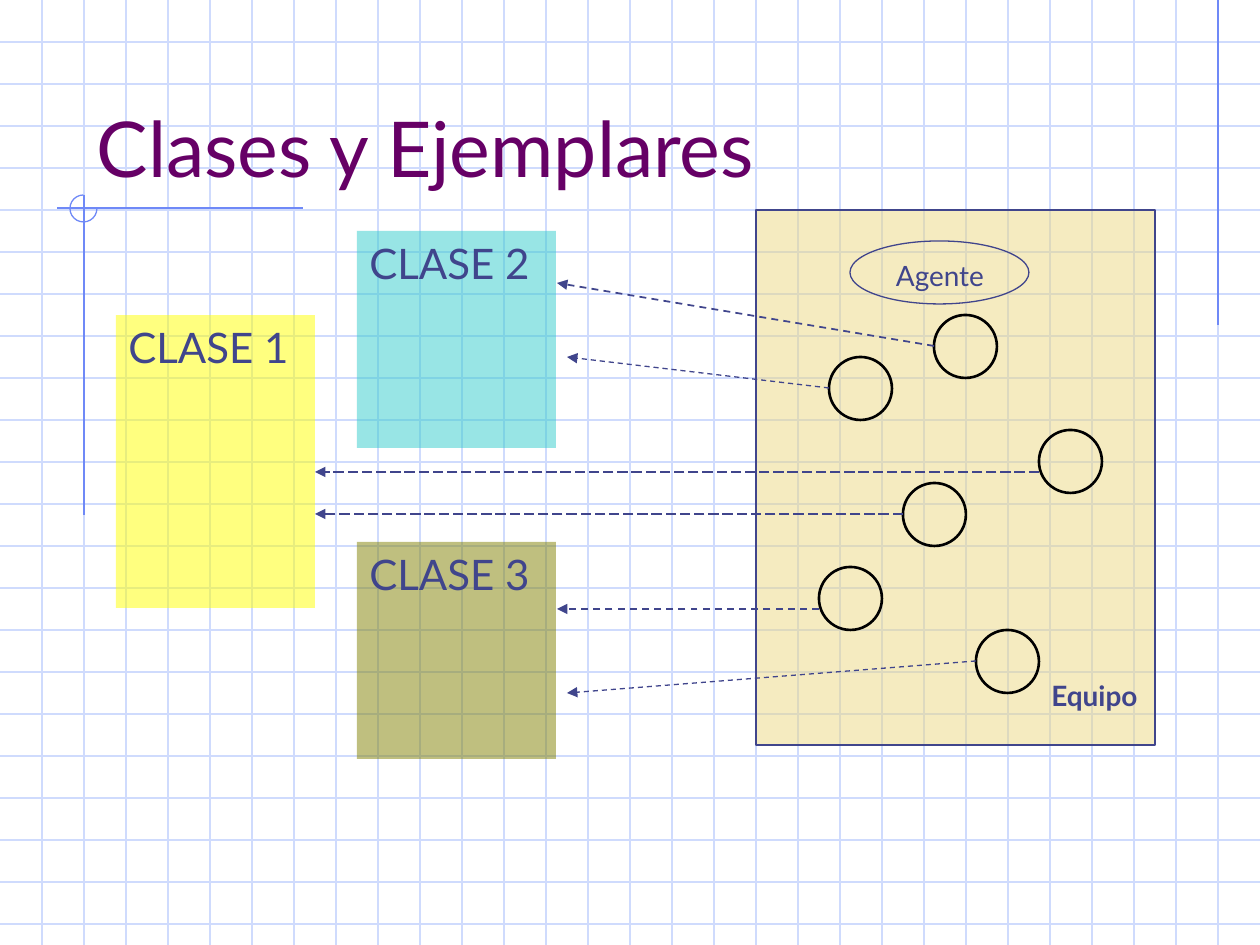
from lxml.etree import SubElement
from pptx import Presentation
from pptx.dml.color import RGBColor
from pptx.enum.dml import MSO_LINE
from pptx.enum.shapes import MSO_CONNECTOR, MSO_SHAPE
from pptx.enum.text import MSO_ANCHOR, MSO_AUTO_SIZE, PP_ALIGN
from pptx.oxml.ns import qn
from pptx.util import Emu, Pt

SCALE = 914400 / 126
WIDTH, HEIGHT, GRID_STEP = 1260, 945, 42
CIRCLE_SIZE = 63
FONT = "Lato"
COLORS = {
    "grid": "CFDBFD",
    "accent": "6F89F7",
    "title": "660066",
    "ink": "40458C",
    "circle": "000000",
    "team": "ECD882",
    "class 1": "FFFF00",
    "class 2": "33CCCC",
    "class 3": "808000",
}
CLASSES = [
    ("CLASE 1", "class 1", (116, 315, 199, 293)),
    ("CLASE 2", "class 2", (357, 231, 199, 217)),
    ("CLASE 3", "class 3", (357, 542, 199, 217)),
]
CIRCLES = [(829, 357), (934, 315), (1039, 430), (903, 483), (819, 567), (976, 630)]
ARROWS = [
    ((934, 346), (557, 283), 1, MSO_LINE.DASH),
    ((829, 388), (567, 357), 0.75, MSO_LINE.DASH),
    ((1039, 472), (315, 472), 0.75, MSO_LINE.LONG_DASH),
    ((903, 514), (315, 514), 0.75, MSO_LINE.LONG_DASH),
    ((819, 609), (557, 609), 1, MSO_LINE.DASH),
    ((976, 661), (567, 693), 0.75, MSO_LINE.DASH),
]


def px(*lengths):
    """Turn pixel lengths into EMU."""
    return [Emu(round(length * SCALE)) for length in lengths]


def color(name):
    """Look up a named colour."""
    return RGBColor.from_string(COLORS[name])


def write_text(shape, text, size, ink="ink", bold=False, align=PP_ALIGN.LEFT,
               anchor=MSO_ANCHOR.TOP):
    """Fill a shape with one formatted paragraph."""
    frame = shape.text_frame
    frame.word_wrap = True
    frame.auto_size = MSO_AUTO_SIZE.NONE
    frame.vertical_anchor = anchor
    para = frame.paragraphs[0]
    para.alignment = align
    span = para.add_run()
    span.text = text
    span.font.name = FONT
    span.font.size = Pt(size)
    span.font.bold = bold
    span.font.color.rgb = color(ink)


def add_figure(page, kind, bounds, fill=None, line=None, weight=0.75):
    """Add a preset shape with an optional half-transparent fill and outline."""
    shape = page.shapes.add_shape(kind, *px(*bounds))
    shape.shadow.inherit = False
    if fill:
        shape.fill.solid()
        shape.fill.fore_color.rgb = color(fill)
        tint = shape._element.spPr.find(qn("a:solidFill"))[0]
        SubElement(tint, qn("a:alpha"), val="50000")
    else:
        shape.fill.background()
    if line:
        shape.line.color.rgb = color(line)
        shape.line.width = Pt(weight)
    else:
        shape.line.fill.background()
    return shape


def add_line(page, start, end, ink, weight=0.75):
    """Add a straight connector without a shadow."""
    line = page.shapes.add_connector(MSO_CONNECTOR.STRAIGHT, *px(*start, *end))
    line.line.color.rgb = color(ink)
    line.line.width = Pt(weight)
    SubElement(line._element.spPr, qn("a:effectLst"))
    return line


def add_arrow(page, start, end, weight, dash):
    """Add a dashed connector with a triangular head at its end."""
    arrow = add_line(page, start, end, "ink", weight)
    arrow.line.dash_style = dash
    SubElement(arrow.line._get_or_add_ln(), qn("a:tailEnd"), type="triangle")


def add_label(page, bounds, text, **style):
    """Add a text box."""
    write_text(page.shapes.add_textbox(*px(*bounds)), text, **style)


def add_backdrop(page):
    """Draw the squared paper and its ornament lines."""
    for y in range(GRID_STEP, HEIGHT, GRID_STEP):
        add_line(page, (0, y), (WIDTH, y), "grid")
    for x in range(GRID_STEP, WIDTH, GRID_STEP):
        add_line(page, (x, 0), (x, HEIGHT), "grid")
    for start, end in [((1218, 0), (1218, 325)), ((303, 208), (57, 208)),
                       ((84, 195), (84, 515))]:
        add_line(page, start, end, "accent")
    arc = add_figure(page, MSO_SHAPE.ARC, (70, 195, 27, 27), line="accent")
    arc.adjustments[0] = 0
    arc.adjustments[1] = 162


def place_title(page, text):
    """Move the title above the backdrop and format it."""
    title = page.shapes.title
    title.left, title.top, title.width, title.height = px(84, 42, 1071, 157)
    title._element.getparent().append(title._element)
    write_text(title, text, size=44, ink="title", anchor=MSO_ANCHOR.BOTTOM)


def main():
    """Build the slide and save it."""
    deck = Presentation()
    deck.slide_width, deck.slide_height = px(WIDTH, HEIGHT)
    page = deck.slides.add_slide(deck.slide_layouts[5])
    add_backdrop(page)
    place_title(page, "Clases y Ejemplares")
    for name, fill, bounds in CLASSES:
        write_text(add_figure(page, MSO_SHAPE.RECTANGLE, bounds, fill=fill), name, size=24)
    add_figure(page, MSO_SHAPE.RECTANGLE, (756, 210, 399, 535), fill="team", line="ink")
    add_label(page, (872, 252, 136, 47), "Agente", size=16, align=PP_ALIGN.CENTER)
    add_figure(page, MSO_SHAPE.OVAL, (850, 241, 179, 63), line="ink")
    for corner in CIRCLES:
        add_figure(page, MSO_SHAPE.OVAL, (*corner, CIRCLE_SIZE, CIRCLE_SIZE),
                   line="circle", weight=1.5)
    for start, end, weight, dash in ARROWS:
        add_arrow(page, start, end, weight, dash)
    add_label(page, (1039, 672, 136, 47), "Equipo", size=16, bold=True)
    deck.save("out.pptx")


if __name__ == "__main__":
    main()
